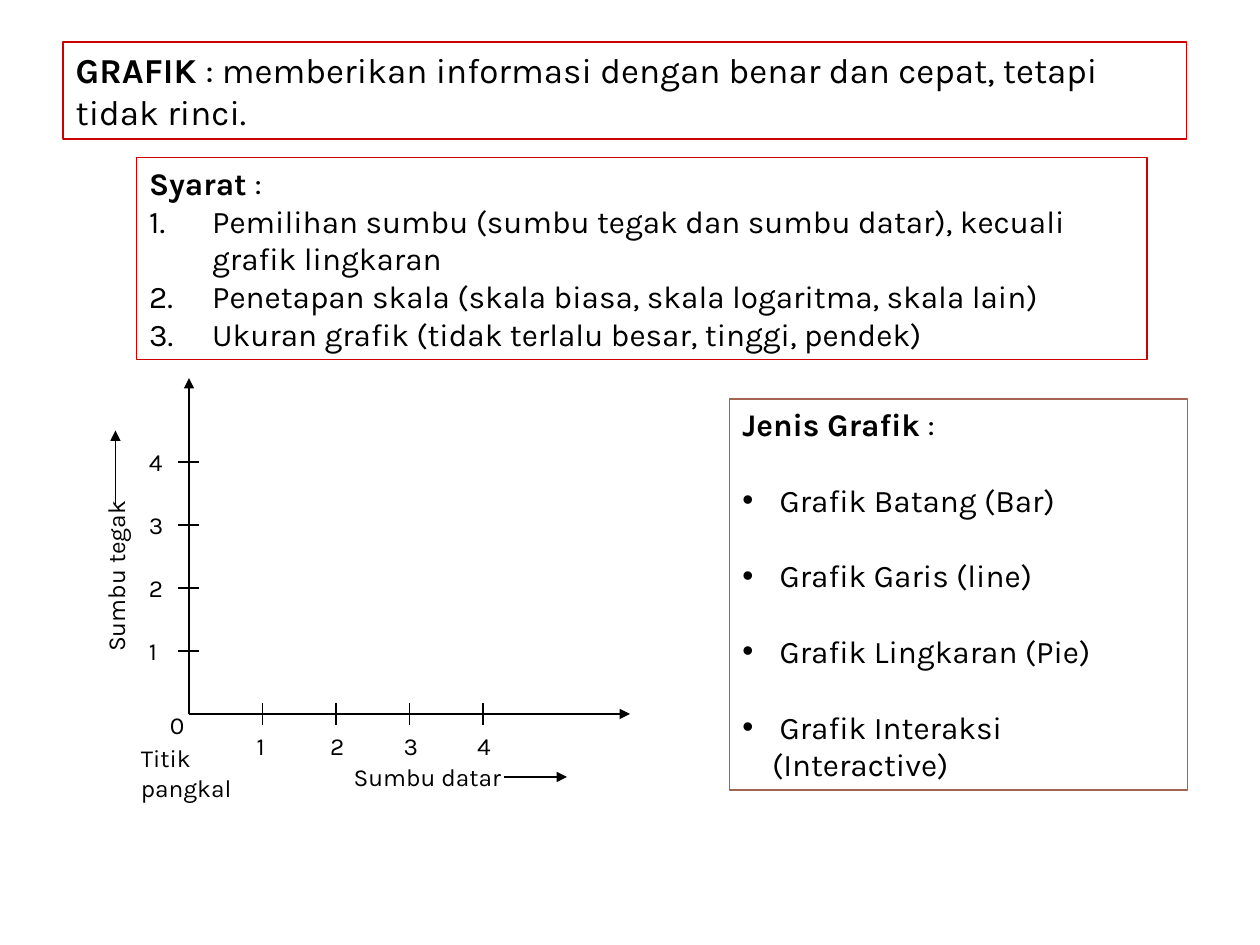
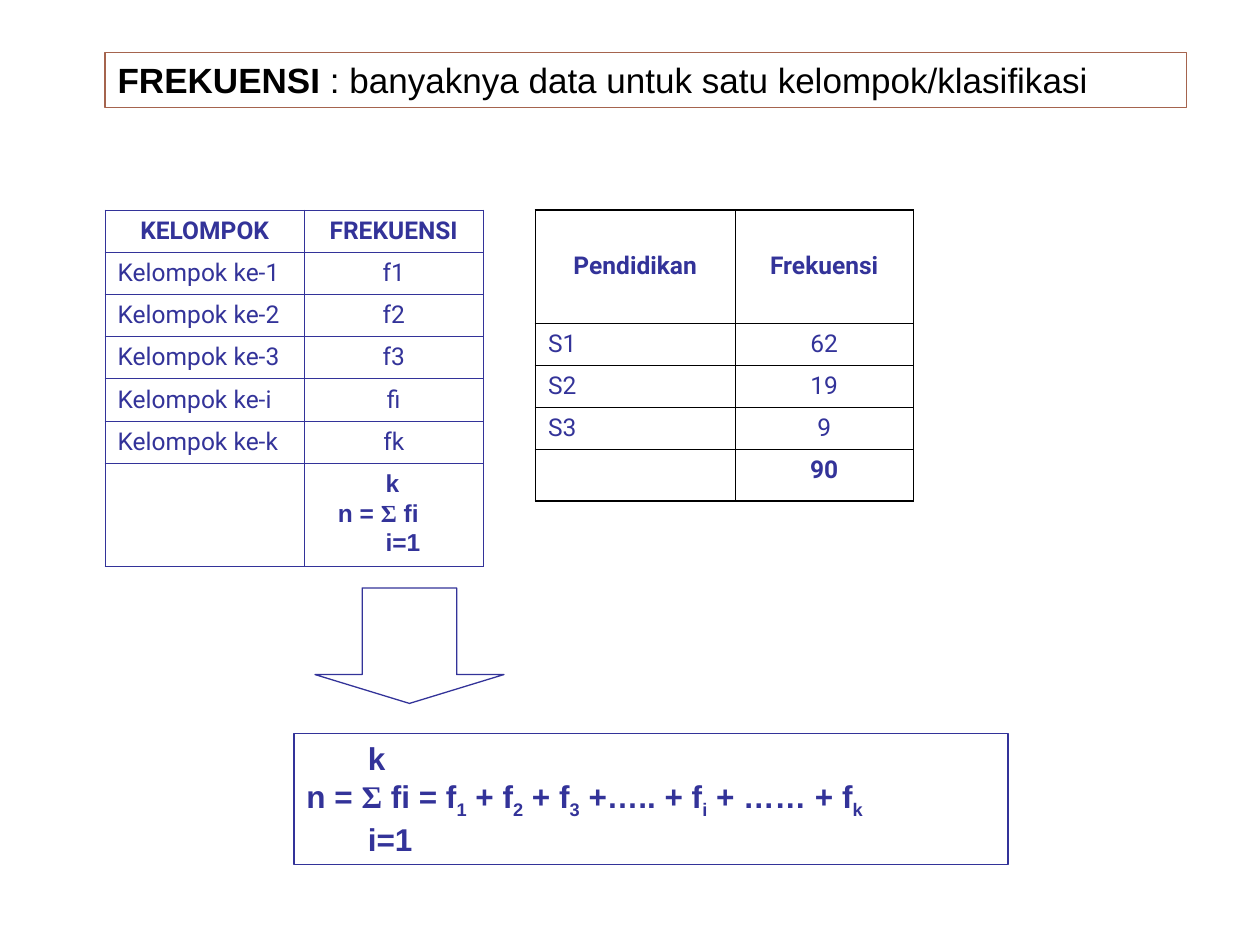
from lxml.etree import SubElement
from pptx import Presentation
from pptx.dml.color import RGBColor
from pptx.enum.shapes import MSO_CONNECTOR, MSO_SHAPE
from pptx.enum.text import MSO_ANCHOR, MSO_AUTO_SIZE, PP_ALIGN
from pptx.oxml.ns import qn
from pptx.util import Pt

BLACK, RED, BROWN, BLUE = "000000", "CC0000", "A5644E", "333399"


def place(box, left, top, width, height, line_color=None):
    """Position a shape and give it an optional thin outline without fill."""
    box.left, box.top = Pt(left), Pt(top)
    box.width, box.height = Pt(width), Pt(height)
    box.shadow.inherit = False
    box.fill.background()
    if line_color:
        box.line.color.rgb = RGBColor.from_string(line_color)
        box.line.width = Pt(0.75)
    box.text_frame.word_wrap = True
    box.text_frame.auto_size = MSO_AUTO_SIZE.NONE
    box.text_frame.vertical_anchor = MSO_ANCHOR.TOP
    return box.text_frame


def add_run(para, text, size, font, color=BLACK, bold=False, baseline=0):
    run = para.add_run()
    run.text = text
    run.font.size, run.font.name, run.font.bold = Pt(size), font, bold
    run.font.color.rgb = RGBColor.from_string(color)
    if baseline:
        run._r.get_or_add_rPr().set("baseline", str(baseline * 1000))


deck = Presentation()
deck.slide_width, deck.slide_height = Pt(720), Pt(540)
chart_page = deck.slides.add_slide(deck.slide_layouts.get_by_name("Two Content"))
frequency_page = deck.slides.add_slide(deck.slide_layouts.get_by_name("Title Only"))

# Titles of both slides
titles = [
    (chart_page, (36, 24, 642, 55.5), RED, "Karla", "GRAFIK ",
     ": memberikan informasi dengan benar dan cepat, tetapi tidak rinci."),
    (frequency_page, (60, 30, 618, 31.5), BROWN, "Arial", "FREKUENSI",
     " : banyaknya data untuk satu kelompok/klasifikasi"),
]
for page, area, line_color, font, term, meaning in titles:
    para = place(page.shapes.title, *area, line_color).paragraphs[0]
    para.alignment = PP_ALIGN.LEFT
    add_run(para, term, 20, font, bold=True)
    add_run(para, meaning, 20, font)

# Slide 1: lists, each with a bold heading
lists = [
    ((78, 90, 577.5, 115.5), RED, "Syarat ", ":", 36, 0, True, [
        "Pemilihan sumbu (sumbu tegak dan sumbu datar), kecuali grafik lingkaran",
        "Penetapan skala (skala biasa, skala logaritma, skala lain)",
        "Ukuran grafik (tidak terlalu besar, tinggi, pendek)"]),
    ((417, 228, 261.5, 223.5), BROWN, "Jenis Grafik", " :", 17, 21.6, False, [
        " Grafik Batang (Bar)", " Grafik Garis (line)",
        " Grafik Lingkaran (Pie)", " Grafik Interaksi (Interactive)"]),
]
bodies = list(chart_page.placeholders)[1:]
for body, (area, line_color, heading, colon, indent, gap, numbered, items) in zip(bodies, lists):
    frame = place(body, *area, line_color)
    para = frame.paragraphs[0]
    para.space_before = Pt(0)
    properties = para._p.get_or_add_pPr()
    properties.set("marL", "0")
    properties.set("indent", "0")
    SubElement(properties, qn("a:buNone"))
    add_run(para, heading, 18, "Karla", bold=True)
    add_run(para, colon, 18, "Karla")
    for item in items:
        para = frame.add_paragraph()
        para.space_before = Pt(gap)
        properties = para._p.get_or_add_pPr()
        properties.set("marL", str(Pt(indent)))
        properties.set("indent", str(-Pt(indent)))
        SubElement(properties, qn("a:buFont"), typeface="Karla" if numbered else "Arial")
        if numbered:
            SubElement(properties, qn("a:buAutoNum"), type="arabicPeriod")
        else:
            SubElement(properties, qn("a:buChar"), char="•")
        add_run(para, item, 18, "Karla")

# Slide 1: axes with ticks and labels
origin_x, origin_y = 108, 408
step_x, step_y, tick = 42, 36, 6
lines = [
    (origin_x, origin_y, origin_x, 216, True),
    (origin_x, origin_y, 360, origin_y, True),
    (66, 288, 66, 246, True),
    (288, 444, 324, 444, True),
]
labels = [
    ("Sumbu tegak", 14.4, 315.5, 103.7, 24.5, 270),
    ("Sumbu datar", 195, 432, 100, 24.5, 0),
    ("0", 90, 402, 22.3, 24.5, 0),
    ("Titik\npangkal", 73.4, 421.2, 67, 41, 0),
]
for number in range(1, 5):
    x, y = origin_x + number * step_x, origin_y - number * step_y
    lines.append((x, origin_y - tick, x, origin_y + tick, False))
    lines.append((origin_x - tick, y, origin_x + tick, y, False))
    labels.append((str(number), x - 10.5, 414, 22.3, 24.5, 0))
    labels.append((str(number), 78, y - 12, 22.3, 24.5, 0))

for start_x, start_y, end_x, end_y, has_arrow in lines:
    line = chart_page.shapes.add_connector(
        MSO_CONNECTOR.STRAIGHT, Pt(start_x), Pt(start_y), Pt(end_x), Pt(end_y))
    line.line.color.rgb = RGBColor.from_string(BLACK)
    line.line.width = Pt(0.75)
    if has_arrow:
        SubElement(line.line._get_or_add_ln(), qn("a:tailEnd"), type="triangle")
    SubElement(line._element.spPr, qn("a:effectLst"))

for text, left, top, width, height, rotation in labels:
    box = chart_page.shapes.add_textbox(0, 0, 0, 0)
    frame = place(box, left, top, width, height)
    box.rotation = rotation
    frame.word_wrap = False
    frame.auto_size = MSO_AUTO_SIZE.SHAPE_TO_FIT_TEXT
    for index, words in enumerate(text.split("\n")):
        para = frame.add_paragraph() if index else frame.paragraphs[0]
        add_run(para, words, 14, "Karla")

# Slide 2: frequency tables
group_rows = [("KELOMPOK", "FREKUENSI")]
group_rows += [(f"Kelompok ke-{index}", f"f{index}") for index in "123ik"]
group_rows.append(("", ""))
education_rows = [("Pendidikan", "Frekuensi"), ("S1", "62"), ("S2", "19"),
                  ("S3", "9"), ("", "90")]
tables = [
    (60, group_rows, 24.15, 58.9, BLUE, 0.45),
    (306, education_rows, 64.6, 28.9, BLACK, 1.08),
]
for left, rows, first_height, last_height, border_color, outer_width in tables:
    heights = [first_height] + [24.15] * (len(rows) - 2) + [last_height]
    table = frequency_page.shapes.add_table(
        len(rows), 2, Pt(left), Pt(120), Pt(216), Pt(sum(heights))).table
    table.first_row = table.horz_banding = False
    table.columns[0].width, table.columns[1].width = Pt(114), Pt(102)
    last = len(rows) - 1
    for row, (values, height) in enumerate(zip(rows, heights)):
        table.rows[row].height = Pt(height)
        for column, value in enumerate(values):
            cell = table.cell(row, column)
            outer_sides = {"a:lnL": column == 0, "a:lnR": column == 1,
                           "a:lnT": row == 0, "a:lnB": row == last}
            for side, is_outer in outer_sides.items():
                border = SubElement(cell._tc.get_or_add_tcPr(), qn(side),
                                    w=str(Pt(outer_width if is_outer else 0.45)))
                fill = SubElement(border, qn("a:solidFill"))
                SubElement(fill, qn("a:srgbClr"), val=border_color)
            cell.fill.background()
            cell.vertical_anchor = MSO_ANCHOR.MIDDLE if row == 0 else MSO_ANCHOR.TOP
            if value:
                para = cell.text_frame.paragraphs[0]
                centred = row == 0 or column == 1
                para.alignment = PP_ALIGN.CENTER if centred else PP_ALIGN.LEFT
                add_run(para, value, 14, "Roboto", BLUE, bold=row in (0, last))

# Slide 2: the sum, short in the table and written out below
expansion = [(" = f", "1"), (" + f", "2"), (" + f", "3"),
             (" +….. + f", "i"), (" + …… + f", "k")]
formulas = [
    ((186, 264, 78, 57.5), None, 14, []),
    ((168, 419, 408, 75), BLUE, 18, expansion),
]
for area, line_color, size, terms in formulas:
    frame = place(frequency_page.shapes.add_textbox(0, 0, 0, 0), *area, line_color)
    upper, middle, lower = frame.paragraphs[0], frame.add_paragraph(), frame.add_paragraph()
    for para, limit in ((upper, "k"), (lower, "i=1")):
        para._p.get_or_add_pPr().set("marL", str(Pt(1.95 * size)))
        add_run(para, limit, size, "Arial", BLUE, True)
    add_run(middle, "n = ", size, "Arial", BLUE, True)
    add_run(middle, "Σ", size, "Times New Roman", BLUE, True)
    add_run(middle, " fi", size, "Arial", BLUE, True)
    for term, subscript in terms:
        add_run(middle, term, size, "Arial", BLUE, True)
        add_run(middle, subscript, size, "Arial", BLUE, True, baseline=-25)

arrow = frequency_page.shapes.add_shape(MSO_SHAPE.DOWN_ARROW, 0, 0, 0, 0)
place(arrow, 180, 336, 108, 66, BLUE)
arrow.adjustments[1] = 0.25

deck.save("out.pptx")
